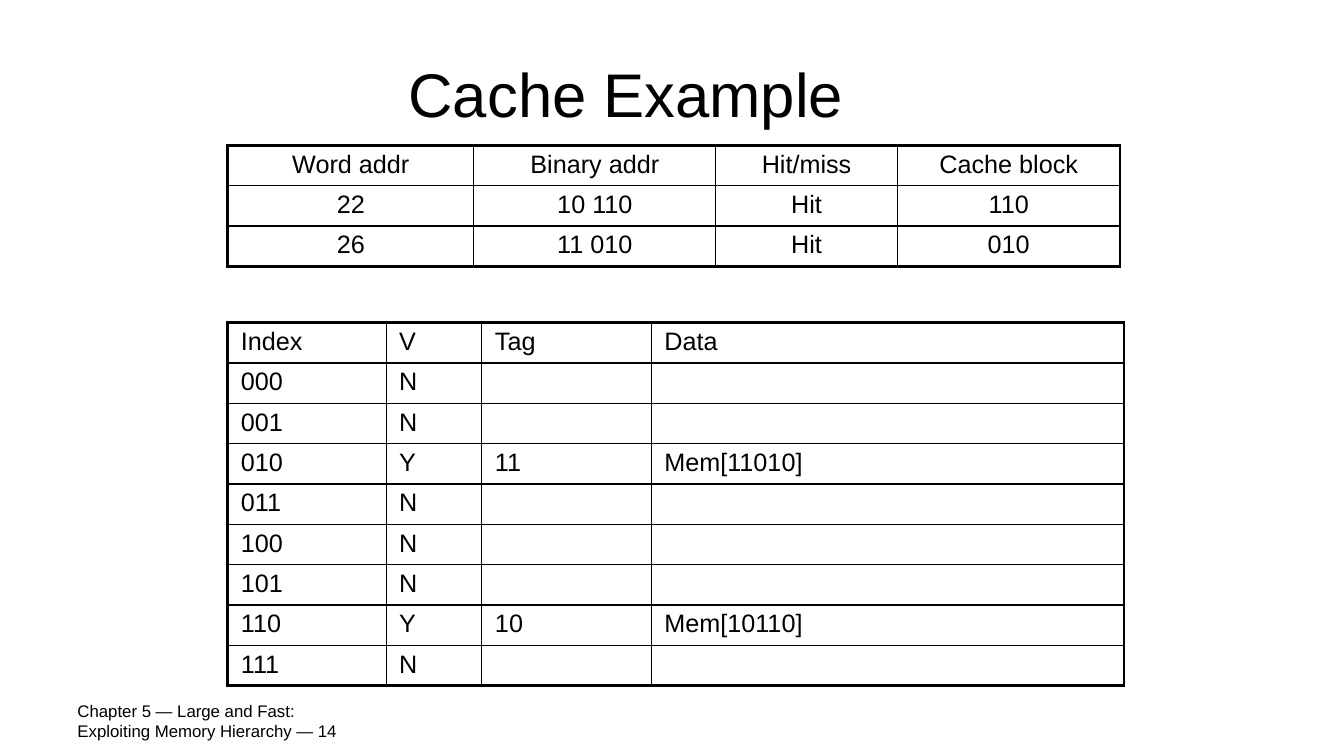
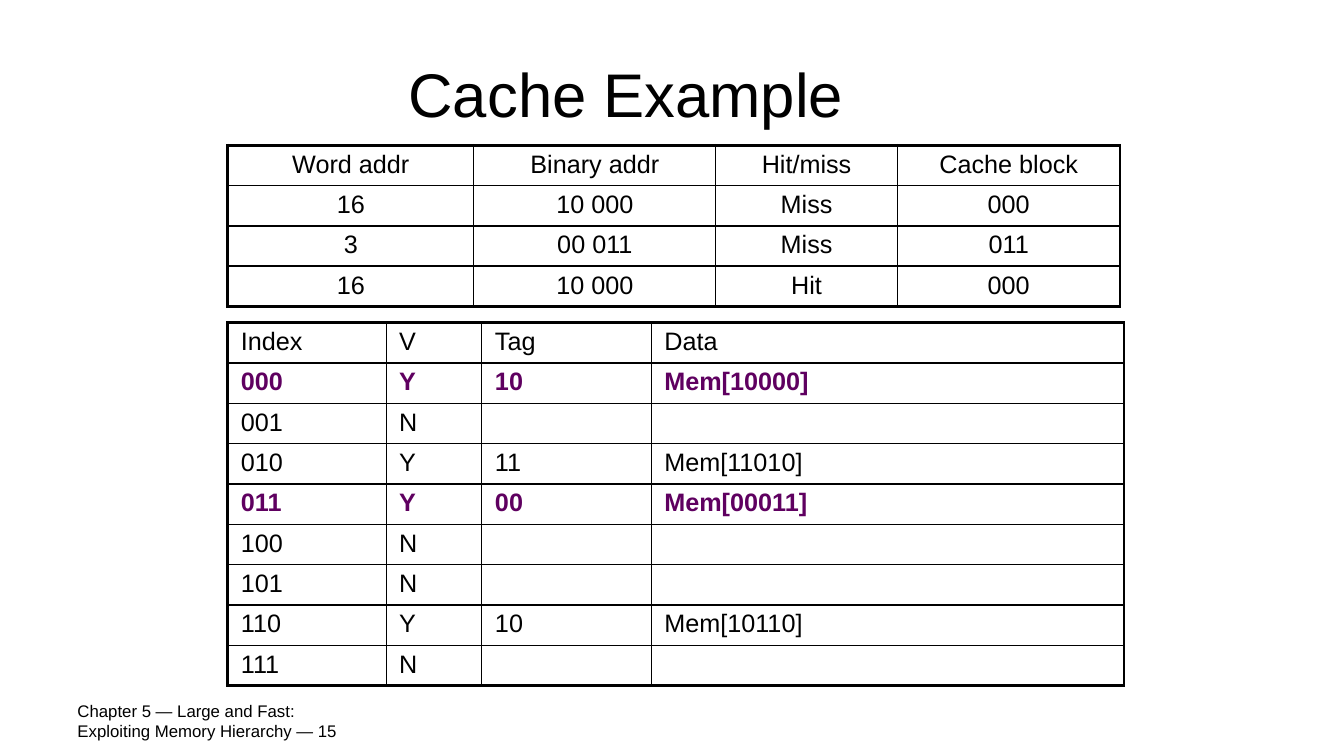
import pptx
import pptx.dml.color
import pptx.enum.text
import pptx.oxml.ns
import pptx.util
from lxml import etree

Inches = pptx.util.Inches
Pt = pptx.util.Pt
ALIGN = pptx.enum.text.PP_ALIGN

FONT = "Arial"
BLACK = "000000"
PURPLE = "5F0060"
ROW_HEIGHT = 0.4
THIN, MEDIUM, THICK = 1, 1.5, 2.25

ADDRESS_HEADER = ["Word addr", "Binary addr", "Hit/miss", "Cache block"]
ADDRESS_WIDTHS = [2.44, 2.4, 1.8, 2.21]
CACHE_HEADER = ["Index", "V", "Tag", "Data"]
CACHE_WIDTHS = [1.57, 0.95, 1.68, 4.69]

# Each step: slide number, accesses, tag held by each valid block, blocks just filled
STEPS = [
    (14,
     [["22", "10 110", "Hit", "110"], ["26", "11 010", "Hit", "010"]],
     {"010": "11", "110": "10"}, []),
    (15,
     [["16", "10 000", "Miss", "000"], ["3", "00 011", "Miss", "011"],
      ["16", "10 000", "Hit", "000"]],
     {"000": "10", "010": "11", "011": "00", "110": "10"}, ["000", "011"]),
]


def rgb(hex_color):
    return pptx.dml.color.RGBColor.from_string(hex_color)


def add_run(paragraph, text, size, color=BLACK, bold=False):
    run = paragraph.add_run()
    run.text = text
    run.font.name = FONT
    run.font.size = Pt(size)
    run.font.bold = bold
    run.font.color.rgb = rgb(color)


def add_text(slide, box, lines, size, alignment):
    frame = slide.shapes.add_textbox(*map(Inches, box)).text_frame
    frame.word_wrap = True
    frame.vertical_anchor = pptx.enum.text.MSO_ANCHOR.MIDDLE
    paragraph = frame.paragraphs[0]
    paragraph.alignment = alignment
    for index, line in enumerate(lines):
        if index:
            paragraph.add_line_break()
        add_run(paragraph, line, size)


def set_borders(cell, widths):
    """Draw the left, right, top and bottom borders with the given point widths."""
    properties = cell._tc.get_or_add_tcPr()
    qn = pptx.oxml.ns.qn
    for side, width in zip("LRTB", widths):
        line = etree.SubElement(properties, qn(f"a:ln{side}"), w=str(Pt(width)))
        fill = etree.SubElement(line, qn("a:solidFill"))
        etree.SubElement(fill, qn("a:srgbClr"), val=BLACK)


def add_grid(slide, left, top, widths, rows, alignment, inner_rule, marked=()):
    """Add a table with a thick frame; rows whose first cell is marked stand out."""
    table = slide.shapes.add_table(
        len(rows), len(widths), Inches(left), Inches(top),
        Inches(sum(widths)), Inches(ROW_HEIGHT * len(rows))).table
    table.first_row = table.horz_banding = False
    for column, width in zip(table.columns, widths):
        column.width = Inches(width)

    row_rules = [THICK, MEDIUM] + [inner_rule] * (len(rows) - 2) + [THICK]
    column_rules = [THICK] + [THIN] * (len(widths) - 1) + [THICK]
    for r, row in enumerate(rows):
        table.rows[r].height = Inches(ROW_HEIGHT)
        highlighted = row[0] in marked
        for c, text in enumerate(row):
            cell = table.cell(r, c)
            cell.margin_left = cell.margin_right = Inches(0.13)
            cell.margin_top = cell.margin_bottom = Inches(0.05)
            set_borders(cell, column_rules[c:c + 2] + row_rules[r:r + 2])
            cell.fill.background()
            paragraph = cell.text_frame.paragraphs[0]
            paragraph.alignment = alignment
            if text:
                add_run(paragraph, text, 18,
                        PURPLE if highlighted else BLACK, highlighted)


def cache_rows(tags):
    rows = [CACHE_HEADER]
    for block in range(8):
        index = f"{block:03b}"
        tag = tags.get(index)
        rows.append([index, "Y", tag, f"Mem[{tag}{index}]"] if tag
                    else [index, "N", "", ""])
    return rows


def add_cache_slide(presentation, number, accesses, tags, filled):
    slide = presentation.slides.add_slide(presentation.slide_layouts[6])
    add_text(slide, (0.67, 6.95, 3.11, 0.4),
             ["Chapter 5 — Large and Fast:",
              f"Exploiting Memory Hierarchy — {number}"], 12, ALIGN.LEFT)
    add_text(slide, (0.67, 0.3, 11.08, 1.25), ["Cache Example"], 44, ALIGN.CENTER)
    add_grid(slide, 2.26, 3.2, CACHE_WIDTHS, cache_rows(tags),
             ALIGN.LEFT, THIN, filled)
    add_grid(slide, 2.26, 1.44, ADDRESS_WIDTHS, [ADDRESS_HEADER] + accesses,
             ALIGN.CENTER, MEDIUM)


def main():
    presentation = pptx.Presentation()
    presentation.slide_width = Inches(13.33)
    presentation.slide_height = Inches(7.5)
    for step in STEPS:
        add_cache_slide(presentation, *step)
    presentation.save("out.pptx")


if __name__ == "__main__":
    main()
